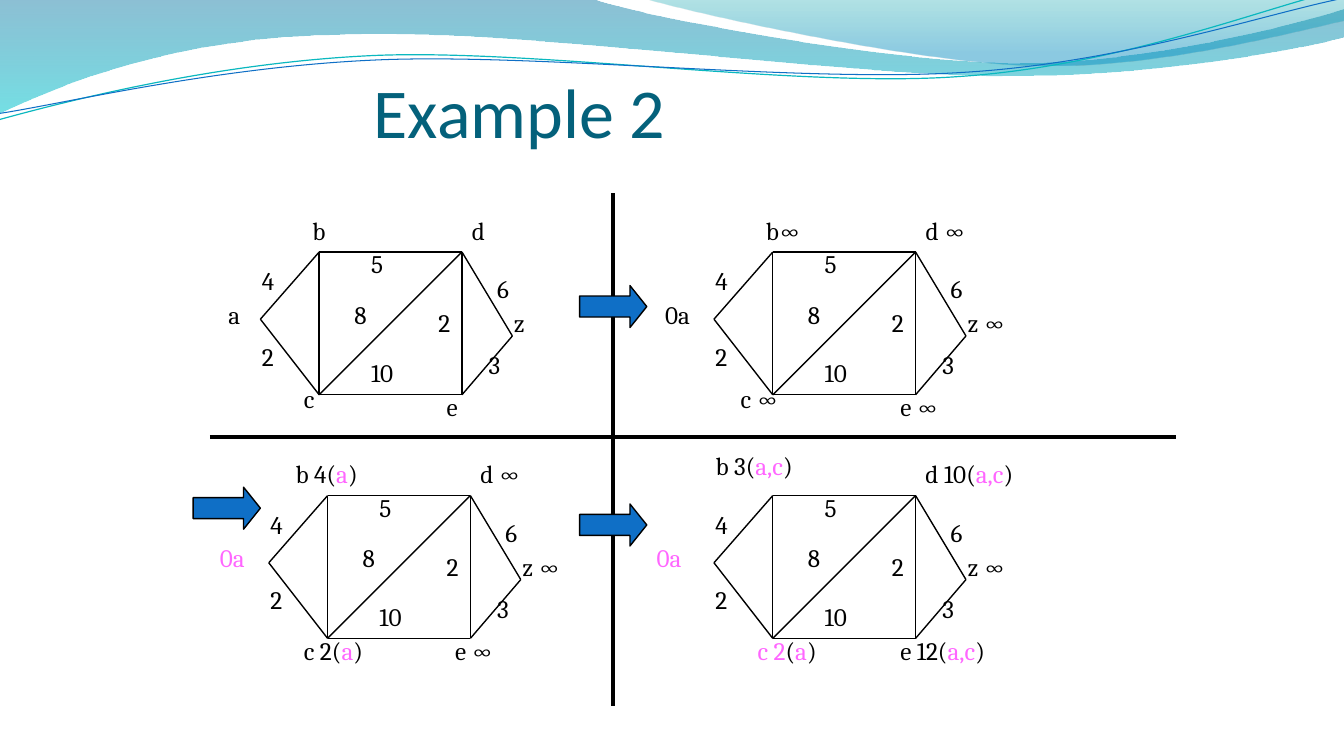
from dataclasses import dataclass

from lxml.etree import SubElement
from pptx import Presentation
from pptx.dml.color import RGBColor
from pptx.enum.shapes import MSO_CONNECTOR, MSO_SHAPE
from pptx.enum.text import MSO_ANCHOR, MSO_AUTO_SIZE
from pptx.oxml.ns import qn
from pptx.util import Pt

PX = 9525


@dataclass(frozen=True)
class Theme:
    ink: str = "000000"
    accent: str = "FF66FF"
    title: str = "04617B"
    arrow: str = "0F6FC6"
    teal: str = "0AB8BF"
    title_font: str = "Calibri"
    label_font: str = "Cambria"
    title_size: int = 50
    label_size: int = 18


THEME = Theme()

BANDS = [
    ([(0, 0), (564, -1), (609, 16, 850, 60, 971, 60), (1092, 60, 1227, 25, 1280, 9),
      (1282, 35), (1259, 42, 1114, 73, 954, 72), (796, 72, 489, 27, 329, 33),
      (165, 35, 59, 80, -1, 108), (0, 0)],
     [(0, "0074A1", 45), (1, "00C6CF", 55)]),
    ([(613, -1), (652, 11, 873, 60, 984, 62), (1095, 66, 1231, 31, 1280, 20),
      (1280, 0), (613, -1)],
     [(0, "00A1A9", 30), (0.8, "008BBF", 45)]),
]
WAVES = [
    ([(-1, 114), (61, 97, 203, 60, 354, 53), (506, 46, 758, 84, 912, 73),
      (1066, 63, 1202, 8, 1278, -10)], THEME.teal, 0.85),
    ([(0, 108), (60, 99, 209, 63, 363, 57), (516, 51, 764, 79, 917, 69),
      (1070, 60, 1205, 13, 1281, -2)], THEME.arrow, 0.75),
]

NODES = {"a": (0, 64), "b": (56, 0), "c": (56, 136),
         "d": (192, 0), "e": (192, 136), "z": (240, 80), "dot": (16, 144)}
EDGES = [("dot", "dot"), "ab", "bd", "dz", "ze", "ec", "ca", "bc", "de", "cd"]
WEIGHTS = [("4", -8, 8, 40), ("2", -8, 80, 40), ("5", 96, -8, 40), ("10", 96, 96, 56),
           ("8", 80, 40, 40), ("2", 160, 48, 40), ("6", 216, 16, 40), ("3", 208, 88, 40)]
PANELS = [
    (248, 240, [("a", -40, 40, 40), ("c", 32, 120, 40), ("b", 40, -40, 40),
                ("e", 168, 128, 40), ("d", 192, -40, 40), ("z", 232, 48, 40)]),
    (680, 240, [("0a", -56, 40, 56), ("c ∞", 16, 120, 80), ("b∞", 40, -40, 64),
                ("e ∞", 168, 128, 88), ("d ∞", 192, -40, 72), ("z ∞", 232, 48, 80)]),
    (256, 472, [("|0a", -56, 40, 56), ("c 2(|a|)", 24, 128, 96), ("b 4(|a|)", 16, -40, 112),
                ("e ∞", 168, 128, 96), ("d ∞", 192, -40, 72), ("z ∞", 232, 48, 72)]),
    (680, 472, [("|0a", -64, 40, 64), ("|c 2|(|a|)", 32, 128, 112),
                ("b 3(|a,c|)", -8, -48, 128), ("e 12(|a,c|)", 168, 128, 160),
                ("d 10(|a,c|)", 192, -40, 152), ("z ∞", 232, 48, 72)]),
]
ARROWS = [(552, 272), (184, 464), (552, 480)]


def add_outline(page, segments, close):
    anchors = [(segment[-2] * PX, segment[-1] * PX) for segment in segments]
    builder = page.shapes.build_freeform(*anchors[0])
    builder.add_line_segments(anchors[1:], close=close)
    outline = builder.convert_to_shape()
    outline.shadow.inherit = False
    straights = list(outline._element.spPr.iter(qn("a:lnTo")))
    for straight, segment in zip(straights, segments[1:]):
        if len(segment) == 6:
            straight.tag = qn("a:cubicBezTo")
            straight.remove(straight[0])
            for x, y in zip(segment[::2], segment[1::2]):
                SubElement(straight, qn("a:pt"),
                           x=str(x * PX - outline.left), y=str(y * PX - outline.top))
    return outline


def add_line(page, start, end, width):
    line = page.shapes.add_connector(
        MSO_CONNECTOR.STRAIGHT, *(value * PX for value in (*start, *end)))
    line.line.color.rgb = RGBColor.from_string(THEME.ink)
    line.line.width = Pt(width)
    SubElement(line._element.spPr, qn("a:effectLst"))


def add_span(para, text, font, size, color):
    span = para.add_run()
    span.text = text
    span.font.name = font
    span.font.size = Pt(size)
    span.font.color.rgb = RGBColor.from_string(color)


def add_label(page, marked, left, top, width):
    box = page.shapes.add_textbox(left * PX, top * PX, width * PX, 38 * PX)
    box.text_frame.word_wrap = True
    box.text_frame.auto_size = MSO_AUTO_SIZE.SHAPE_TO_FIT_TEXT
    para = box.text_frame.paragraphs[0]
    for index, text in enumerate(marked.split("|")):
        if text:
            color = THEME.accent if index % 2 else THEME.ink
            add_span(para, text, THEME.label_font, THEME.label_size, color)


def add_header(page):
    for segments, stops in BANDS:
        band = add_outline(page, segments, True)
        band.fill.gradient()
        band.fill.gradient_angle = 270
        for stop, (position, color, _) in zip(band.fill.gradient_stops, stops):
            stop.position = position
            stop.color.rgb = RGBColor.from_string(color)
        tints = list(band._element.spPr.iter(qn("a:srgbClr")))
        for tint, (_, _, opacity) in zip(tints, stops):
            SubElement(tint, qn("a:alpha"), val=str(opacity * 1000))
        band.line.fill.background()
    for segments, color, width in WAVES:
        wave = add_outline(page, segments, False)
        wave.fill.background()
        wave.line.color.rgb = RGBColor.from_string(color)
        wave.line.width = Pt(width)


def add_title(page, left, top, width, height):
    box = page.shapes.add_textbox(left * PX, top * PX, width * PX, height * PX)
    frame = box.text_frame
    frame.word_wrap = True
    frame.vertical_anchor = MSO_ANCHOR.BOTTOM
    frame.margin_left = frame.margin_right = frame.margin_bottom = 0
    frame.margin_top = 5 * PX
    add_span(frame.paragraphs[0], "Example 2", THEME.title_font, THEME.title_size, THEME.title)


def add_graph(page, left, top, labels):
    spots = {name: (left + x, top + y) for name, (x, y) in NODES.items()}
    for start, end in EDGES:
        add_line(page, spots[start], spots[end], 1)
    for text, x, y, width in labels + WEIGHTS:
        add_label(page, text, left + x, top + y, width)


def add_arrow(page, left, top):
    arrow = page.shapes.add_shape(
        MSO_SHAPE.RIGHT_ARROW, left * PX, top * PX, 64 * PX, 40 * PX)
    arrow.adjustments[0] = 0.5
    arrow.adjustments[1] = 0.4
    arrow.shadow.inherit = False
    arrow.fill.solid()
    arrow.fill.fore_color.rgb = RGBColor.from_string(THEME.arrow)
    arrow.line.color.rgb = RGBColor.from_string(THEME.ink)
    arrow.line.width = Pt(1)


def main():
    deck = Presentation()
    deck.slide_width = 1280 * PX
    deck.slide_height = 720 * PX
    page = deck.slides.add_slide(deck.slide_layouts[6])
    add_header(page)
    add_title(page, 356, 27, 716, 118)
    for left, top, labels in PANELS:
        add_graph(page, left, top, labels)
    add_line(page, (200, 416), (1120, 416), 3)
    add_line(page, (584, 184), (584, 672), 3)
    for left, top in ARROWS:
        add_arrow(page, left, top)
    deck.save("out.pptx")


if __name__ == "__main__":
    main()
